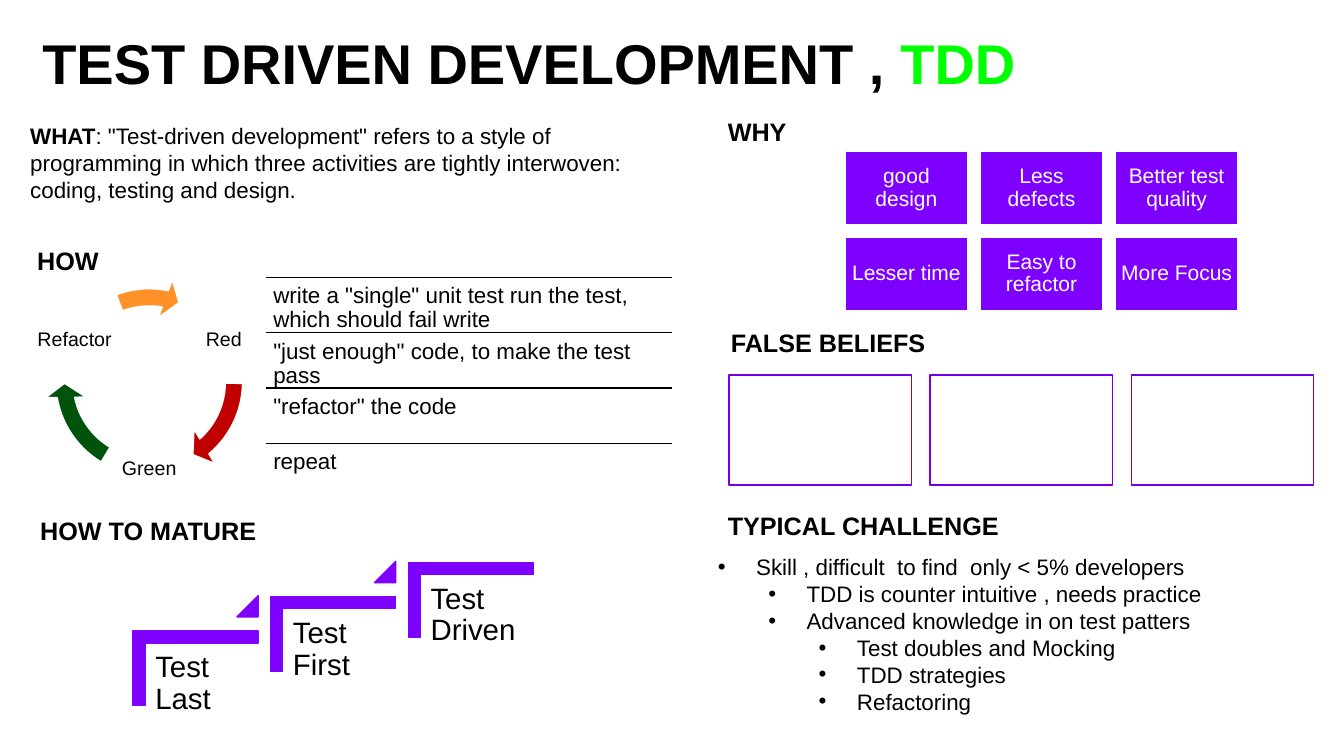
from lxml.etree import SubElement
from pptx import Presentation
from pptx.dml.color import RGBColor
from pptx.enum.shapes import MSO_CONNECTOR, MSO_SHAPE
from pptx.enum.text import MSO_ANCHOR, PP_ALIGN
from pptx.oxml.ns import qn
from pptx.util import Inches, Pt

COLORS = {
    "black": "000000", "white": "FFFFFF", "lime": "00FF00",
    "purple": "7E00FF", "outline": "7200E7",
    "red": "C00000", "green": "00530A", "orange": "FF9128",
}
FONT = "Arial"


def rgb(name):
    return RGBColor.from_string(COLORS[name])


def format_run(run, size, color="black", bold=False):
    run.font.name = FONT
    run.font.size = Pt(size)
    run.font.bold = bold
    run.font.color.rgb = rgb(color)


def set_frame(text_frame, insets, wrap=True, anchor=MSO_ANCHOR.TOP):
    left, top, right, bottom = insets
    text_frame.margin_left, text_frame.margin_top = Inches(left), Inches(top)
    text_frame.margin_right, text_frame.margin_bottom = Inches(right), Inches(bottom)
    text_frame.word_wrap = wrap
    text_frame.vertical_anchor = anchor


def add_text(slide, box, runs, insets=(0, 0, 0, 0), spacing=None, wrap=True,
             anchor=MSO_ANCHOR.TOP, align=PP_ALIGN.LEFT):
    """Add one paragraph; each run is (text, size, color, bold)."""
    text_frame = slide.shapes.add_textbox(*map(Inches, box)).text_frame
    set_frame(text_frame, insets, wrap, anchor)
    paragraph = text_frame.paragraphs[0]
    paragraph.alignment = align
    if spacing:
        paragraph.line_spacing = spacing
    for text, *style in runs:
        run = paragraph.add_run()
        run.text = text
        format_run(run, *style)


def add_heading(slide, left, top, width, text):
    add_text(slide, (left, top, width, 0.4), [(text, 18, "black", True)],
             (0.1, 0.05, 0.1, 0.05), wrap=False)


def add_filled(slide, kind, box, fill, line, adjustments=()):
    shape = slide.shapes.add_shape(kind, *map(Inches, box))
    shape.shadow.inherit = False
    shape.fill.solid()
    shape.fill.fore_color.rgb = rgb(fill)
    shape.line.color.rgb = rgb(line)
    shape.line.width = Pt(1)
    for index, value in enumerate(adjustments):
        shape.adjustments[index] = value
    return shape


def add_rule(slide, left, top, width):
    rule = slide.shapes.add_connector(
        MSO_CONNECTOR.STRAIGHT, Inches(left), Inches(top), Inches(left + width), Inches(top))
    rule.line.color.rgb = rgb("black")
    rule.line.width = Pt(1)
    SubElement(rule._element.spPr, qn("a:effectLst"))


def add_cycle(slide):
    stages = [
        ("Red", 1.78, 2.93, "red", 29.636, 0.519),
        ("Green", 1.04, 4.21, "green", 101.719, 72.603),
        ("Refactor", 0.3, 2.93, "orange", 168.565, 149.674),
    ]
    for label, left, top, color, end, start in stages:
        add_text(slide, (left, top, 0.88, 0.88), [(label, 14)], (0.02,) * 4, 0.9,
                 anchor=MSO_ANCHOR.MIDDLE, align=PP_ALIGN.CENTER)
        add_filled(slide, MSO_SHAPE.CIRCULAR_ARROW, (0.44, 2.75, 2.08, 2.08),
                   color, "white", (0.082, 5.762, end, start, 0.096))


def add_procedure(slide):
    steps = [
        'write a "single" unit test run the test, which should fail write',
        '"just enough" code, to make the test pass',
        '"refactor" the code',
        "repeat",
    ]
    for index, step in enumerate(steps):
        top = 2.75 + 0.55 * index
        add_rule(slide, 2.64, top, 4.03)
        add_text(slide, (2.64, top, 4.02, 0.55), [(step, 16)], (0.07,) * 4, 0.9)


def add_staircase(slide):
    levels = ["Test Last", "Test First", "Test Driven"]
    for index, level in enumerate(levels):
        left, top = 1.45 + 1.365 * index, 6.38 - 0.34 * index
        corner = add_filled(slide, MSO_SHAPE.CORNER, (left + 0.12, top - 0.37, 0.74, 1.24),
                            "purple", "purple", (0.161, 0.161))
        corner.rotation = 90
        add_text(slide, (left, top, 1.12, 0.98), [(level, 21)], (0.09,) * 4, 0.9)
        if index < len(levels) - 1:
            add_filled(slide, MSO_SHAPE.ISOSCELES_TRIANGLE,
                       (left + 0.9, top - 0.47, 0.21, 0.21), "purple", "purple", (1,))


def add_benefits(slide):
    benefits = ["good design", "Less defects", "Better test quality",
                "Lesser time", "Easy to refactor", "More Focus"]
    for index, benefit in enumerate(benefits):
        row, column = divmod(index, 3)
        tile = add_filled(slide, MSO_SHAPE.RECTANGLE,
                          (8.38 + 1.34 * column, 1.5 + 0.85 * row, 1.22, 0.73),
                          "purple", "white")
        text_frame = tile.text_frame
        set_frame(text_frame, (0.06,) * 4, anchor=MSO_ANCHOR.MIDDLE)
        text_frame.text = benefit
        paragraph = text_frame.paragraphs[0]
        paragraph.alignment = PP_ALIGN.CENTER
        paragraph.line_spacing = 0.9
        format_run(paragraph.runs[0], 15, "white")


def add_belief_boxes(slide):
    for column in range(3):
        add_filled(slide, MSO_SHAPE.RECTANGLE, (7.23 + 1.995 * column, 3.72, 1.81, 1.09),
                   "white", "outline")


def add_challenges(slide):
    challenges = [
        (0, "Skill , difficult  to find  only < 5% developers"),
        (1, "TDD is counter intuitive , needs practice"),
        (1, "Advanced knowledge in on test patters"),
        (2, "Test doubles and Mocking"),
        (2, "TDD strategies"),
        (2, "Refactoring"),
    ]
    box = map(Inches, (7.12, 5.49, 6.1, 1.7))
    text_frame = slide.shapes.add_textbox(*box).text_frame
    set_frame(text_frame, (0, 0, 0, 0.05))
    text_frame.text = "\n".join(text for _, text in challenges)
    for paragraph, (level, _) in zip(text_frame.paragraphs, challenges):
        paragraph.level = level
        format_run(paragraph.runs[0], 16)
        properties = paragraph._p.get_or_add_pPr()
        properties.set("marL", str(Inches(0.38 + 0.5 * level)))
        properties.set("indent", str(Inches(-0.38)))
        SubElement(properties, qn("a:buFont"), typeface=FONT)
        SubElement(properties, qn("a:buChar"), char="•")


def main():
    presentation = Presentation()
    presentation.slide_width, presentation.slide_height = Inches(13.33), Inches(7.5)
    slide = presentation.slides.add_slide(presentation.slide_layouts[6])

    # Title and definition
    add_text(slide, (0.42, 0.42, 12.8, 1.08),
             [("TEST DRIVEN DEVELOPMENT , ", 40, "black", True), ("TDD", 40, "lime", True)],
             (0, 0.05, 0, 0), 0.7)
    add_text(slide, (0.3, 1.21, 6.02, 0.86),
             [("WHAT", 16, "black", True),
              (': "Test-driven development" refers to a style of programming in which '
               "three activities are tightly interwoven: coding, testing and design.", 16)],
             (0, 0, 0, 0.05))

    # Section headings
    add_heading(slide, 0.27, 2.38, 0.86, "HOW")
    add_heading(slide, 0.3, 5.06, 2.45, "HOW TO MATURE")
    add_heading(slide, 7.12, 1.1, 0.83, "WHY")
    add_heading(slide, 7.15, 3.2, 2.21, "FALSE BELIEFS")
    add_heading(slide, 7.12, 5.01, 2.96, "TYPICAL CHALLENGE")

    # Left column
    add_cycle(slide)
    add_procedure(slide)
    add_staircase(slide)

    # Right column
    add_benefits(slide)
    add_belief_boxes(slide)
    add_challenges(slide)

    presentation.save("out.pptx")


if __name__ == "__main__":
    main()
